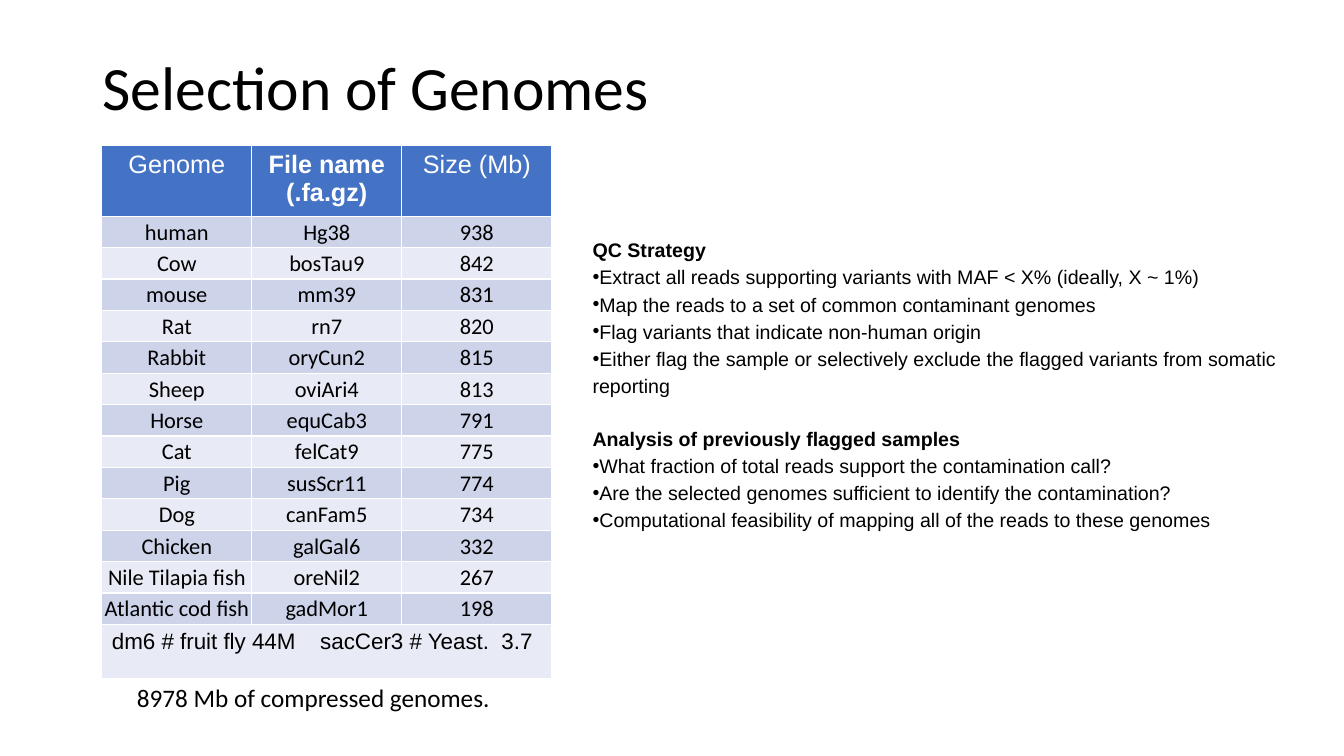
from lxml.etree import SubElement
from pptx import Presentation
from pptx.dml.color import RGBColor
from pptx.enum.text import MSO_ANCHOR as Anchor, PP_ALIGN as Align
from pptx.oxml.ns import qn
from pptx.util import Inches, Pt

BLACK = RGBColor(0x00, 0x00, 0x00)
WHITE = RGBColor(0xFF, 0xFF, 0xFF)
HEADER_BLUE = RGBColor(0x44, 0x72, 0xC4)
BAND_DARK = RGBColor(0xCD, 0xD4, 0xEA)
BAND_LIGHT = RGBColor(0xE8, 0xEB, 0xF5)

COLUMNS, ROWS = 80, 45

HEADER = ["Genome", "File name (.fa.gz)", "Size (Mb)"]
GENOMES = [
    ("human", "Hg38", 938),
    ("Cow", "bosTau9", 842),
    ("mouse", "mm39", 831),
    ("Rat", "rn7", 820),
    ("Rabbit", "oryCun2", 815),
    ("Sheep", "oviAri4", 813),
    ("Horse", "equCab3", 791),
    ("Cat", "felCat9", 775),
    ("Pig", "susScr11", 774),
    ("Dog", "canFam5", 734),
    ("Chicken", "galGal6", 332),
    ("Nile Tilapia fish", "oreNil2", 267),
    ("Atlantic cod fish", "gadMor1", 198),
]
SMALL_GENOMES = "dm6 # fruit fly 44M\tsacCer3 # Yeast.  3.7"
SECTIONS = {
    "QC Strategy": [
        "Extract all reads supporting variants with MAF < X% (ideally, X ~ 1%)",
        "Map the reads to a set of common contaminant genomes",
        "Flag variants that indicate non-human origin",
        "Either flag the sample or selectively exclude the flagged variants "
        "from somatic reporting",
    ],
    "Analysis of previously flagged samples": [
        "What fraction of total reads support the contamination call?",
        "Are the selected genomes sufficient to identify the contamination?",
        "Computational feasibility of mapping all of the reads to these genomes",
    ],
}


def write(p, text, font="Calibri", size=18, color=BLACK, bold=False,
          align=Align.LEFT, spacing=None, before=0, bullet=False, tab=None):
    """Fill one paragraph with formatted text."""
    p.alignment, p.space_before = align, Pt(before)
    if spacing:
        p.line_spacing = spacing
    r = p.add_run()
    r.text = text
    r.font.name, r.font.size, r.font.bold = font, Pt(size), bold
    r.font.color.rgb = color
    pPr = p._p.get_or_add_pPr()
    if bullet:
        pPr.set("marL", "0")
        pPr.set("indent", "0")
        SubElement(pPr, qn("a:buFont"), typeface="Arial")
        SubElement(pPr, qn("a:buChar"), char="•")
    if tab:
        tabs = SubElement(pPr, qn("a:tabLst"))
        SubElement(tabs, qn("a:tab"), pos=str(tab), algn="l")


class GenomeSlide:
    def __init__(self, prs):
        self.s = prs.slides.add_slide(prs.slide_layouts[6])
        self.col = prs.slide_width / COLUMNS
        self.row = prs.slide_height / ROWS

    def x(self, columns):
        return round(columns * self.col)

    def y(self, rows):
        return round(rows * self.row)

    def box(self, left, top, width, height, anchor=Anchor.TOP, margin=0.05):
        sp = self.s.shapes.add_textbox(self.x(left), self.y(top),
                                       self.x(width), self.y(height))
        tf = sp.text_frame
        tf.word_wrap, tf.vertical_anchor = True, anchor
        tf.margin_top = tf.margin_bottom = Inches(margin)
        return tf

    def line(self, text, *place, anchor=Anchor.TOP, **style):
        write(self.box(*place, anchor=anchor).paragraphs[0], text, **style)

    def sections(self, sections, *place):
        tf = self.box(*place, margin=0.1)
        p = tf.paragraphs[0]
        style = dict(font="Arial", size=14, spacing=1.15)
        for i, (heading, points) in enumerate(sections.items()):
            if i:
                p = tf.add_paragraph()
            write(p, heading, bold=True, before=19 if i else 0, **style)
            for point in points:
                write(tf.add_paragraph(), point, bullet=True, **style)

    def cell(self, cell, text, fill, tight=False, **style):
        cell.fill.solid()
        cell.fill.fore_color.rgb = fill
        if tight:
            cell.vertical_anchor = Anchor.MIDDLE
            cell.margin_left = cell.margin_right = cell.margin_top = Inches(0.01)
            cell.margin_bottom = 0
        write(cell.text_frame.paragraphs[0], text, **style)

    def table(self, left, top, col_width, heights):
        n = len(HEADER)
        table = self.s.shapes.add_table(
            len(heights), n, self.x(left), self.y(top),
            self.x(col_width * n), self.y(sum(heights))).table
        for column in table.columns:
            column.width = self.x(col_width)
        for row, height in zip(table.rows, heights):
            row.height = self.y(height)

        # Header: only the file name is bold
        for c, text in enumerate(HEADER):
            self.cell(table.cell(0, c), text, HEADER_BLUE, font="Arial",
                      color=WHITE, bold=c == 1, align=Align.CENTER)

        # Banded genome rows
        for i, genome in enumerate(GENOMES):
            fill = BAND_LIGHT if i % 2 else BAND_DARK
            for c, value in enumerate(genome):
                self.cell(table.cell(i + 1, c), str(value), fill, tight=True,
                          size=16, align=Align.CENTER)

        # Merged last row
        last = len(heights) - 1
        table.cell(last, 0).merge(table.cell(last, n - 1))
        self.cell(table.cell(last, 0), SMALL_GENOMES, BAND_LIGHT,
                  font="Arial", size=16, tab=self.x(12.4))


def main():
    prs = Presentation()
    prs.slide_width, prs.slide_height = Inches(13.33), Inches(7.5)
    slide = GenomeSlide(prs)

    # Title
    slide.line("Selection of Genomes", 5.52, 1.02, 69, 8.7,
               anchor=Anchor.MIDDLE, size=44, spacing=0.9)

    # Genome table and its total
    slide.table(6.06, 8.67, 8.93, [3.87] + [1.87] * len(GENOMES) + [3.24])
    slide.line("8978 Mb of compressed genomes.", 7.56, 40.32, 22.44, 2.4)

    # Strategy notes
    slide.sections(SECTIONS, 34.68, 13.38, 42.12, 18.9)

    prs.save("out.pptx")


if __name__ == "__main__":
    main()
